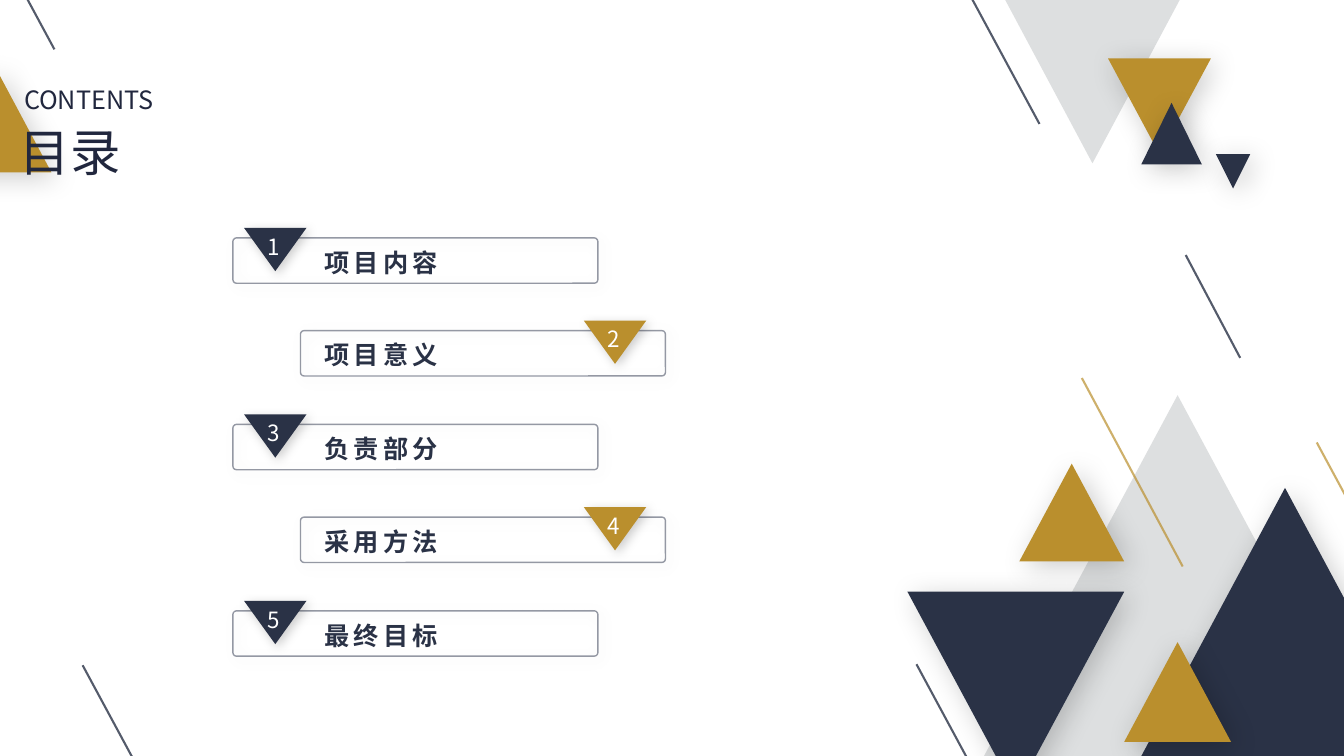
from dataclasses import dataclass

from lxml import etree
from pptx import Presentation
from pptx import util as u
from pptx.dml.color import RGBColor
from pptx.enum import shapes, text
from pptx.oxml.ns import qn

PX = 9144
FONT = "Noto Sans CJK SC"
COLORS = {
    "navy": "2A3246",
    "gold": "BA8F2D",
    "mist": "DDDFE0",
    "ink": "21273E",
    "frame": "2C344B",
    "white": "FFFFFF",
    "black": "000000",
}


@dataclass
class Triangle:
    left: int
    top: int
    width: int
    height: int
    color: str
    down: bool = False
    blur: int = 20
    distance: int = 5


@dataclass
class Stroke:
    x1: int
    y1: int
    x2: int
    y2: int
    color: str = "navy"
    opacity: int = 80


BACK_TRIANGLES = [
    Triangle(-60, 67, 111, 104, "gold"),
    Triangle(997, 0, 173, 162, "mist", down=True, blur=0),
    Triangle(976, 392, 384, 358, "mist", blur=0),
    Triangle(1132, 484, 285, 266, "navy"),
    Triangle(1011, 460, 104, 97, "gold"),
    Triangle(1115, 637, 106, 99, "gold"),
    Triangle(1099, 58, 102, 95, "gold", down=True),
    Triangle(900, 587, 215, 200, "navy", down=True),
]
FRONT_TRIANGLES = [
    Triangle(1132, 102, 60, 61, "navy"),
    Triangle(1206, 153, 34, 34, "navy", down=True),
]
STROKES = [
    Stroke(962, -5, 1031, 123),
    Stroke(1073, 375, 1173, 562, "gold", 70),
    Stroke(1176, 253, 1230, 355),
    Stroke(1306, 439, 1361, 541, "gold", 70),
    Stroke(909, 659, 964, 761),
    Stroke(82, 660, 137, 762),
    Stroke(-1, -53, 54, 49),
]
TOPICS = ["项目内容", "项目意义", "负责部分", "采用方法", "最终目标"]


def px(*lengths: int) -> list[u.Emu]:
    return [u.Emu(length * PX) for length in lengths]


def rgb(name: str) -> RGBColor:
    return RGBColor.from_string(COLORS[name])


def set_opacity(element, percent: int) -> None:
    color = next(element.iter(qn("a:srgbClr")))
    etree.SubElement(color, qn("a:alpha"), val=str(percent * 1000))


def add_shadow(shape, blur: int, distance: int) -> None:
    shape.shadow.inherit = False
    if not blur:
        return
    effects = shape._element.spPr.find(qn("a:effectLst"))
    shadow = etree.SubElement(
        effects, qn("a:outerShdw"),
        blurRad=str(u.Pt(blur)), dist=str(u.Pt(distance)),
        dir=str(45 * 60000), algn="tl", rotWithShape="0",
    )
    etree.SubElement(shadow, qn("a:srgbClr"), val=COLORS["black"])
    set_opacity(shadow, 20)


def draw_triangle(canvas, triangle: Triangle) -> None:
    shape = canvas.add_shape(
        shapes.MSO_SHAPE.ISOSCELES_TRIANGLE,
        *px(triangle.left, triangle.top, triangle.width, triangle.height),
    )
    shape.rotation = 180 if triangle.down else 0
    shape.fill.solid()
    shape.fill.fore_color.rgb = rgb(triangle.color)
    shape.line.fill.background()
    add_shadow(shape, triangle.blur, triangle.distance)


def draw_stroke(canvas, stroke: Stroke) -> None:
    line = canvas.add_connector(
        shapes.MSO_CONNECTOR.STRAIGHT,
        *px(stroke.x1, stroke.y1, stroke.x2, stroke.y2),
    )
    line.line.color.rgb = rgb(stroke.color)
    line.line.width = u.Pt(1.5)
    properties = line._element.spPr
    set_opacity(properties, stroke.opacity)
    etree.SubElement(properties, qn("a:effectLst"))


def draw_frame(canvas, left: int, top: int) -> None:
    frame = canvas.add_shape(
        shapes.MSO_SHAPE.ROUNDED_RECTANGLE, *px(left, top, 362, 45)
    )
    frame.adjustments[0] = 0.08
    frame.fill.background()
    frame.line.color.rgb = rgb("frame")
    frame.line.width = u.Pt(1)
    set_opacity(frame._element.spPr, 50)
    add_shadow(frame, 10, 3)


def write(canvas, wording: str, left: int, top: int, width: int, height: int,
          *, size: int, color: str, bold: bool = False, spacing: int = 0,
          align: text.PP_ALIGN = text.PP_ALIGN.LEFT, wrap: bool = True) -> None:
    box = canvas.add_textbox(*px(left, top, width, height))
    frame = box.text_frame
    frame.word_wrap = wrap
    frame.auto_size = text.MSO_AUTO_SIZE.SHAPE_TO_FIT_TEXT
    paragraph = frame.paragraphs[0]
    paragraph.alignment = align
    run = paragraph.add_run()
    run.text = wording
    run.font.size = u.Pt(size)
    run.font.bold = bold
    run.font.color.rgb = rgb(color)
    run.font.name = FONT
    properties = run.font._element
    etree.SubElement(properties, qn("a:ea"), typeface=FONT)
    if spacing:
        properties.set("spc", str(spacing * 100))


def draw_topic(canvas, index: int, topic: str) -> None:
    group = canvas.add_group_shape().shapes
    top = 236 + 185 * index // 2
    on_right = index % 2 == 1
    frame_left, marker_left = (298, 579) if on_right else (231, 242)
    write(group, topic, 312, top + 4, 139, 40,
          size=18, color="navy", bold=True, spacing=3)
    draw_frame(group, frame_left, top)
    draw_triangle(group, Triangle(
        marker_left, top - 10, 62, 43, "gold" if on_right else "navy",
        down=True, blur=8, distance=3,
    ))
    write(group, str(index + 1), marker_left + 13, top - 10, 33, 37,
          size=16, color="white", align=text.PP_ALIGN.CENTER, wrap=False)


def main() -> None:
    deck = Presentation()
    deck.slide_width, deck.slide_height = u.Inches(13.33), u.Inches(7.5)
    canvas = deck.slides.add_slide(deck.slide_layouts[6]).shapes
    for triangle in BACK_TRIANGLES:
        draw_triangle(canvas, triangle)
    for stroke in STROKES:
        draw_stroke(canvas, stroke)
    write(canvas, "CONTENTS", 14, 79, 183, 40,
          size=18, color="ink", align=text.PP_ALIGN.JUSTIFY)
    write(canvas, "目录", 10, 115, 137, 71,
          size=36, color="ink", align=text.PP_ALIGN.JUSTIFY)
    for index, topic in enumerate(TOPICS):
        draw_topic(canvas, index, topic)
    for triangle in FRONT_TRIANGLES:
        draw_triangle(canvas, triangle)
    deck.save("out.pptx")


if __name__ == "__main__":
    main()
